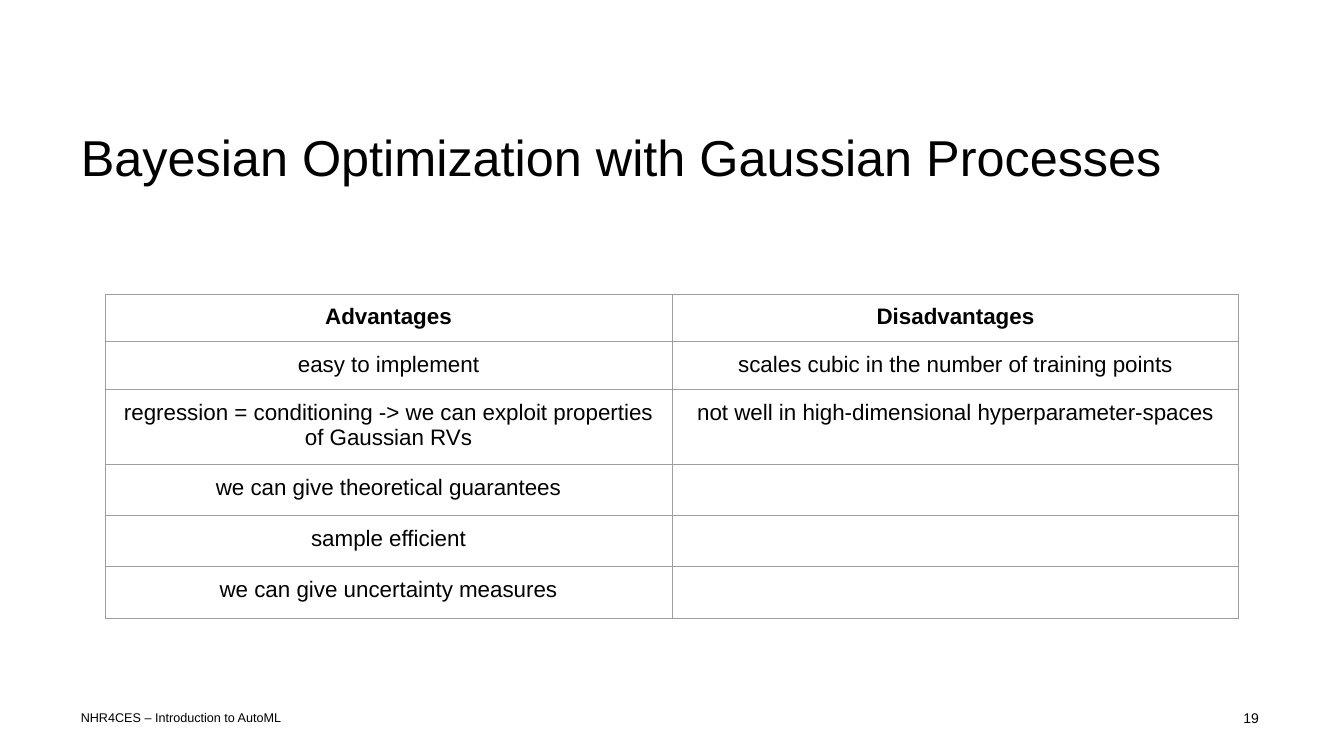
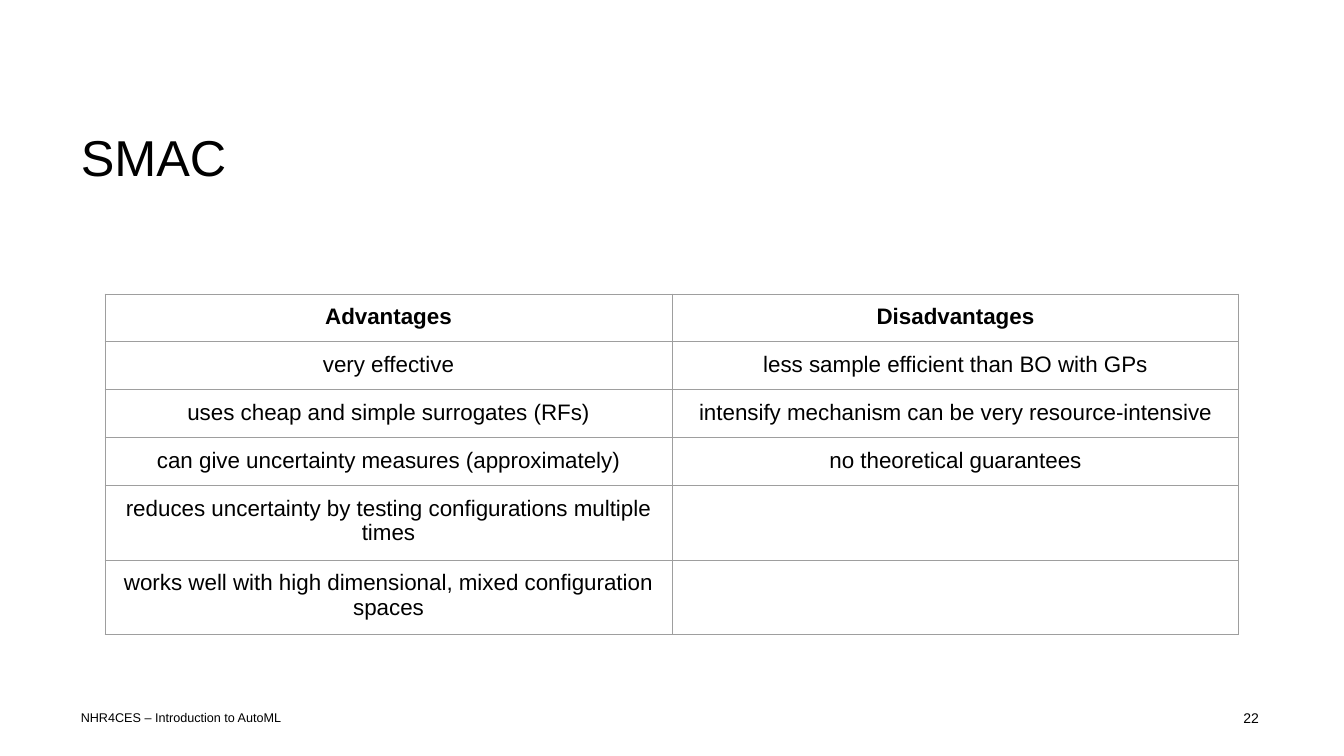
from dataclasses import dataclass
from itertools import zip_longest

from lxml.etree import SubElement
from pptx import Presentation
from pptx.dml.color import RGBColor
from pptx.enum.text import MSO_ANCHOR, PP_ALIGN
from pptx.oxml.ns import qn
from pptx.util import Pt

EMU_PER_PX = 9525


def px(length):
    return length * EMU_PER_PX


@dataclass(frozen=True)
class Theme:
    font: str = "Arial"
    ink: str = "000000"
    paper: str = "FFFFFF"
    rule: str = "9E9E9E"
    rule_width: float = 0.75
    title_size: int = 36
    table_size: int = 16
    footer_size: int = 9
    number_size: int = 10


class SlideWriter:
    def __init__(self, theme):
        self.theme = theme
        self.deck = Presentation()
        self.deck.slide_width = px(1280)
        self.deck.slide_height = px(720)
        self.page = None

    def start_page(self, title, number):
        self.page = self.deck.slides.add_slide(self.deck.slide_layouts[6])
        background = self.page.background.fill
        background.solid()
        background.fore_color.rgb = RGBColor.from_string(self.theme.paper)
        self.text("NHR4CES – Introduction to AutoML", (77, 672, 331, 18),
                  (0, 4, 4, 0), self.theme.footer_size)
        self.text(str(number), (1163, 672, 40, 27),
                  (0, 4, 4, 0), self.theme.number_size, PP_ALIGN.RIGHT)
        self.title(title)

    def title(self, words):
        para = self.text(words, (77, 110, 1126, 104), (0, 0, 19, 0),
                         self.theme.title_size)
        para.line_spacing = 1.17
        para.space_after = Pt(12)

    def text(self, words, place, insets, size, align=PP_ALIGN.LEFT):
        box = self.page.shapes.add_textbox(*map(px, place))
        frame = box.text_frame
        frame.word_wrap = True
        frame.vertical_anchor = MSO_ANCHOR.TOP
        (frame.margin_left, frame.margin_top,
         frame.margin_right, frame.margin_bottom) = map(px, insets)
        para = frame.paragraphs[0]
        para.alignment = align
        self.span(para, words, size)
        return para

    def span(self, para, words, size, bold=False):
        span = para.add_run()
        span.text = words
        span.font.name = self.theme.font
        span.font.size = Pt(size)
        span.font.bold = bold
        span.font.color.rgb = RGBColor.from_string(self.theme.ink)

    def comparison(self, advantages, disadvantages, row_heights):
        rows = [("Advantages", "Disadvantages"),
                *zip_longest(advantages, disadvantages, fillvalue="")]
        table = self.page.shapes.add_table(
            len(rows), 2, px(100), px(280), px(1080), px(sum(row_heights))).table
        table.first_row = False
        table.horz_banding = False
        for row_index, (row, height) in enumerate(zip(rows, row_heights)):
            table.rows[row_index].height = px(height)
            for column_index, words in enumerate(row):
                self.cell(table.cell(row_index, column_index), words,
                          bold=row_index == 0)

    def cell(self, cell, words, bold):
        cell.margin_left = cell.margin_right = px(10)
        cell.margin_top = cell.margin_bottom = px(10)
        self.borders(cell)
        cell.fill.background()
        para = cell.text_frame.paragraphs[0]
        para.alignment = PP_ALIGN.CENTER
        if words:
            self.span(para, words, self.theme.table_size, bold)

    def borders(self, cell):
        properties = cell._tc.get_or_add_tcPr()
        for side in ("a:lnL", "a:lnR", "a:lnT", "a:lnB"):
            line = SubElement(properties, qn(side),
                              w=str(Pt(self.theme.rule_width)))
            fill = SubElement(line, qn("a:solidFill"))
            SubElement(fill, qn("a:srgbClr"), val=self.theme.rule)

    def save(self):
        self.deck.save("out.pptx")


def main():
    writer = SlideWriter(Theme())

    writer.start_page("Bayesian Optimization with Gaussian Processes", 19)
    writer.comparison(
        ["easy to implement",
         "regression = conditioning -> we can exploit properties of Gaussian RVs",
         "we can give theoretical guarantees",
         "sample efficient",
         "we can give uncertainty measures"],
        ["scales cubic in the number of training points",
         "not well in high-dimensional hyperparameter-spaces"],
        [43, 43, 66, 46, 46, 46])

    writer.start_page("SMAC", 22)
    writer.comparison(
        ["very effective",
         "uses cheap and simple surrogates (RFs)",
         "can give uncertainty measures (approximately)",
         "reduces uncertainty by testing configurations multiple times",
         "works well with high dimensional, mixed configuration spaces"],
        ["less sample efficient than BO with GPs",
         "intensify mechanism can be very resource-intensive",
         "no theoretical guarantees"],
        [43, 43, 43, 43, 66, 66])

    writer.save()


if __name__ == "__main__":
    main()
